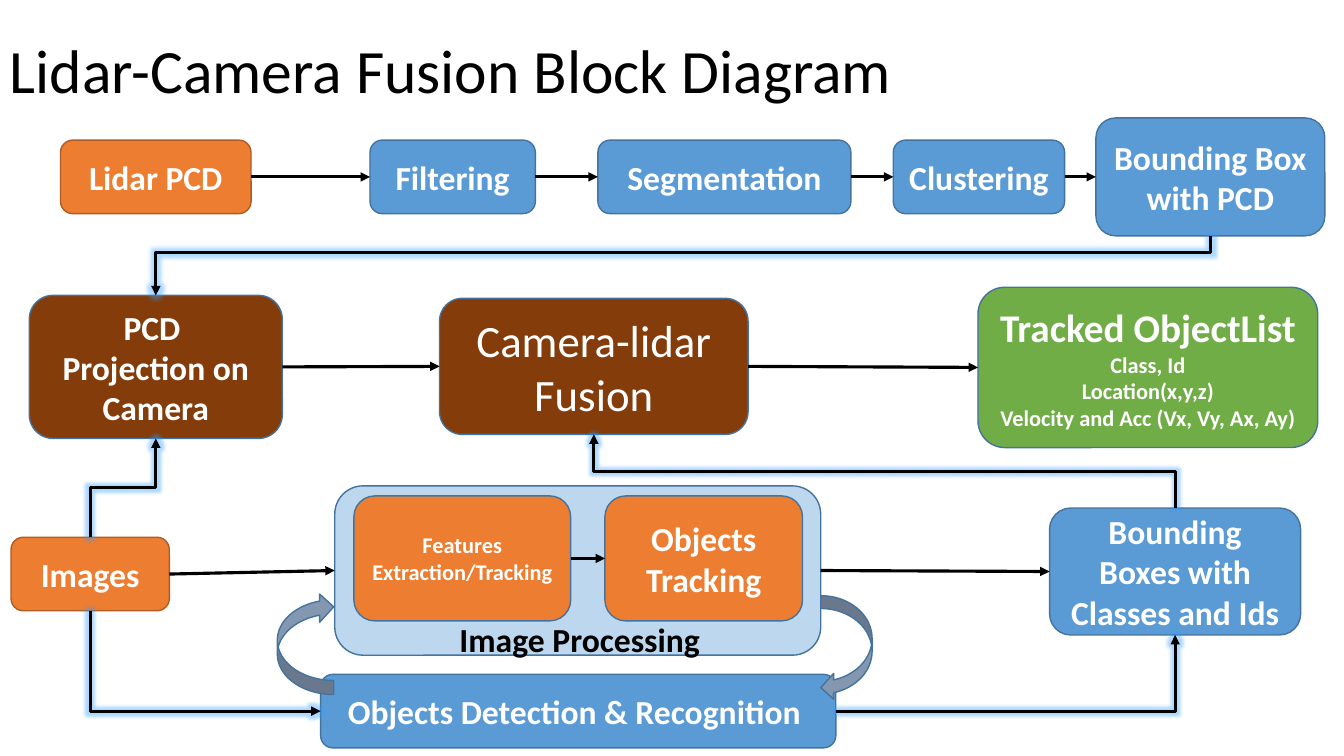
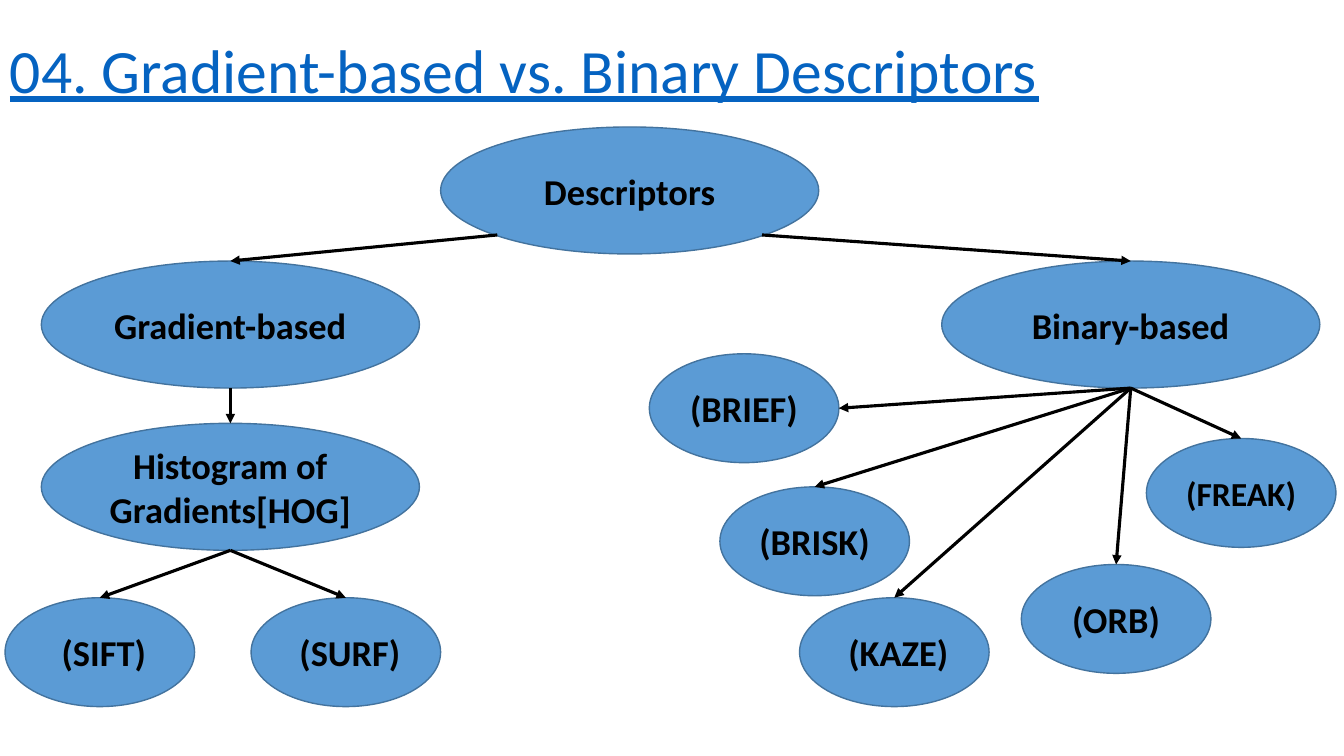
from dataclasses import dataclass, field

from lxml.etree import SubElement
from pptx import Presentation
from pptx.dml.color import RGBColor
from pptx.enum.shapes import MSO_CONNECTOR, MSO_SHAPE
from pptx.enum.text import MSO_ANCHOR, PP_ALIGN
from pptx.oxml.ns import qn
from pptx.util import Pt

PIXEL = 9144
SLIDE_SIZE = (1333, 750)
TITLE_BOX = (0, 0, 1150, 145)


@dataclass(frozen=True)
class Theme:
    font: str = "Calibri"
    ink: str = "000000"
    link: str = "0563C1"
    arrow_width: float = 2.25
    outline_width: float = 1
    glow: str = "5B9BD5"
    types: dict = field(default_factory=lambda: {
        "title": {"size": Pt(44), "bold": False},
        "link title": {"size": Pt(44), "bold": False, "underline": True},
        "display": {"size": Pt(32), "bold": False},
        "heading": {"size": Pt(28), "bold": True},
        "node": {"size": Pt(26), "bold": True},
        "label": {"size": Pt(24), "bold": True},
        "detail": {"size": Pt(16), "bold": True},
    })
    styles: dict = field(default_factory=lambda: {
        "input": ("ED7D31", "AF5C24", "FFFFFF"),
        "feature": ("ED7D31", "43739E", "FFFFFF"),
        "step": ("5B9BD5", "43739E", "FFFFFF"),
        "fusion": ("843C0B", "43739E", "FFFFFF"),
        "output": ("70AD47", "43739E", "FFFFFF"),
        "panel": ("BDD7EE", "43739E", "000000"),
        "loop": ("8497B0", "43739E", "FFFFFF"),
        "descriptor": ("5B9BD5", "43739E", "000000"),
    })


THEME = Theme()

BLOCKS = {
    "lidar": ("input", (60, 139, 189, 73), [("Lidar PCD", "label")]),
    "filtering": ("step", (367, 139, 164, 73), [("Filtering", "label")]),
    "segmentation": ("step", (593, 139, 251, 73), [("Segmentation", "label")]),
    "clustering": ("step", (886, 139, 170, 73), [("Clustering", "label")]),
    "lidar box": ("step", (1087, 117, 227, 117), [("Bounding Box with PCD", "label")]),
    "projection": ("fusion", (29, 293, 251, 142),
                   [("PCD ", "label"), ("Projection on Camera", "label")]),
    "fusion": ("fusion", (436, 296, 306, 135),
               [("Camera-lidar", "display"), ("Fusion", "display")]),
    "tracked": ("output", (970, 285, 337, 159),
                [("Tracked ObjectList", "heading"), ("Class, Id", "detail"),
                 ("Location(x,y,z)", "detail"),
                 ("Velocity and Acc (Vx, Vy, Ax, Ay)", "detail")]),
    "processing": ("panel", (332, 482, 482, 168), []),
    "features": ("feature", (351, 492, 215, 124),
                 [("Features", "detail"), ("Extraction/Tracking", "detail")]),
    "tracking": ("feature", (600, 492, 196, 124), [("Objects Tracking", "label")]),
    "image boxes": ("step", (1041, 504, 249, 126),
                    [("Bounding Boxes with Classes and Ids", "label")]),
    "images": ("input", (11, 533, 157, 73), [("Images", "label")]),
    "detection": ("step", (318, 669, 511, 73),
                  [("Objects Detection & Recognition ", "label")]),
}
PANEL_CAPTION = ("Image Processing", (401, 609, 348, 50))
BLOCK_ARROWS = [
    ("lidar", "filtering"), ("filtering", "segmentation"),
    ("segmentation", "clustering"), ("clustering", "lidar box"),
    ("projection", "fusion"), ("fusion", "tracked"),
    ("images", "processing"), ("processing", "image boxes"),
    ("features", "tracking"),
]
ELBOWS = [
    ("images", "top", "projection", "bottom", 1, "bentConnector3", 50000),
    ("images", "bottom", "detection", "left", 3, "bentConnector2", None),
    ("detection", "right", "image boxes", "bottom", 0, "bentConnector2", None),
    ("lidar box", "bottom", "projection", "top", 1, "bentConnector3", 27900),
    ("image boxes", "top", "fusion", "bottom", 3, "bentConnector3", 50000),
]
LOOP_ARROWS = [((814, 591, 51, 104), 0), ((275, 588, 56, 101), 180)]

WIDE, SMALL = (375, 126), (188, 108)
DESCRIPTORS = {
    "gradient": ((41, 259), WIDE, "Gradient-based", "node"),
    "binary": ((934, 259), WIDE, "Binary-based", "node"),
    "root": ((437, 126), WIDE, "Descriptors", "node"),
    "histogram": ((41, 420), WIDE, "Histogram of Gradients[HOG]", "node"),
    "sift": ((5, 593), SMALL, " (SIFT)", "node"),
    "surf": ((249, 593), SMALL, " (SURF)", "node"),
    "brief": ((644, 351), SMALL, "(BRIEF)", "node"),
    "kaze": ((793, 593), SMALL, " (KAZE)", "node"),
    "freak": ((1137, 435), SMALL, "(FREAK)", "label"),
    "orb": ((1013, 560), SMALL, "(ORB)", "node"),
    "brisk": ((714, 483), SMALL, "(BRISK)", "node"),
}
BRANCHES = [
    ("root", "bottom left", "gradient", "top"),
    ("root", "bottom right", "binary", "top"),
    ("gradient", "bottom", "histogram", "top"),
    ("histogram", "bottom", "sift", "top"),
    ("histogram", "bottom", "surf", "top"),
    ("binary", "bottom", "brief", "right"),
    ("binary", "bottom", "brisk", "top"),
    ("binary", "bottom", "orb", "top"),
    ("binary", "bottom", "kaze", "top"),
    ("binary", "bottom", "freak", "top"),
]

DIAGONAL = 0.35
SIDES = {
    "top": (0.5, 0), "left": (0, 0.5), "bottom": (0.5, 1), "right": (1, 0.5),
    "bottom left": (0.5 - DIAGONAL, 0.5 + DIAGONAL),
    "bottom right": (0.5 + DIAGONAL, 0.5 + DIAGONAL),
}
SITES = {
    MSO_SHAPE.ROUNDED_RECTANGLE: {"top": 0, "left": 1, "bottom": 2, "right": 3},
    MSO_SHAPE.OVAL: {"top": 0, "left": 2, "bottom left": 3, "bottom": 4,
                     "bottom right": 5, "right": 6},
}


def px(*lengths):
    return [round(length * PIXEL) for length in lengths]


def set_format(target, values):
    for name, value in values.items():
        setattr(target, name, value)


def write_text(shape, lines, color, align=PP_ALIGN.CENTER, spacing=1.0,
               anchor=MSO_ANCHOR.MIDDLE):
    frame = shape.text_frame
    set_format(frame, {"word_wrap": True, "vertical_anchor": anchor})
    for index, (text, type_name) in enumerate(lines):
        paragraph = frame.add_paragraph() if index else frame.paragraphs[0]
        set_format(paragraph, {"alignment": align, "line_spacing": spacing})
        run = paragraph.add_run()
        run.text = text
        set_format(run.font, {"name": THEME.font, **THEME.types[type_name]})
        run.font.color.rgb = RGBColor.from_string(color)


def add_title(slide, text, type_name, color):
    box = slide.shapes.add_textbox(*px(*TITLE_BOX))
    write_text(box, [(text, type_name)], color, PP_ALIGN.LEFT, 0.9)


def add_node(slide, kind, box, style, lines=()):
    fill, outline, text_color = THEME.styles[style]
    shape = slide.shapes.add_shape(kind, *px(*box))
    shape.shadow.inherit = False
    shape.fill.solid()
    shape.fill.fore_color.rgb = RGBColor.from_string(fill)
    shape.line.color.rgb = RGBColor.from_string(outline)
    shape.line.width = Pt(THEME.outline_width)
    write_text(shape, lines, text_color)
    return shape


def side_point(shape, side):
    across, down = SIDES[side]
    return (round(shape.left + across * shape.width),
            round(shape.top + down * shape.height))


def style_arrow(connector):
    connector.line.color.rgb = RGBColor.from_string(THEME.ink)
    connector.line.width = Pt(THEME.arrow_width)
    properties = connector._element.spPr
    SubElement(properties.find(qn("a:ln")), qn("a:tailEnd"), type="triangle")
    return SubElement(properties, qn("a:effectLst"))


def add_arrow(slide, start, start_side, end, end_side):
    begin, finish = side_point(start, start_side), side_point(end, end_side)
    connector = slide.shapes.add_connector(MSO_CONNECTOR.STRAIGHT, *begin, *finish)
    connector.begin_connect(start, 0)
    connector.end_connect(end, 0)
    links = connector._element.nvCxnSpPr.cNvCxnSpPr
    links.stCxn.idx = SITES[start.auto_shape_type][start_side]
    links.endCxn.idx = SITES[end.auto_shape_type][end_side]
    set_format(connector, {"begin_x": begin[0], "begin_y": begin[1],
                           "end_x": finish[0], "end_y": finish[1]})
    style_arrow(connector)


def add_elbow(slide, begin, finish, quarter_turns, preset, bend):
    center_x, center_y = [(a + b) / 2 for a, b in zip(begin, finish)]
    across, down = begin[0] - center_x, begin[1] - center_y
    across, down = {0: (across, down), 1: (down, -across), 3: (-down, across)}[quarter_turns]
    ends = (center_x + across, center_y + down, center_x - across, center_y - down)
    connector = slide.shapes.add_connector(MSO_CONNECTOR.ELBOW, *map(round, ends))
    properties = connector._element.spPr
    if quarter_turns:
        properties.find(qn("a:xfrm")).set("rot", str(quarter_turns * 5400000))
    geometry = properties.find(qn("a:prstGeom"))
    geometry.set("prst", preset)
    if bend is not None:
        guides = geometry.find(qn("a:avLst"))
        if guides is None:
            guides = SubElement(geometry, qn("a:avLst"))
        SubElement(guides, qn("a:gd"), name="adj1", fmla=f"val {bend}")
    glow = SubElement(style_arrow(connector), qn("a:glow"), rad="63500")
    color = SubElement(glow, qn("a:srgbClr"), val=THEME.glow)
    SubElement(color, qn("a:satMod"), val="175000")
    SubElement(color, qn("a:alpha"), val="40000")


def build_block_diagram(slide):
    add_title(slide, "Lidar-Camera Fusion Block Diagram", "title", THEME.ink)
    nodes = {name: add_node(slide, MSO_SHAPE.ROUNDED_RECTANGLE, box, style, lines)
             for name, (style, box, lines) in BLOCKS.items()}
    caption, box = PANEL_CAPTION
    write_text(slide.shapes.add_textbox(*px(*box)), [(caption, "label")], THEME.ink,
               anchor=MSO_ANCHOR.TOP)
    for start, end in BLOCK_ARROWS:
        add_arrow(slide, nodes[start], "right", nodes[end], "left")
    for start, start_side, end, end_side, turns, preset, bend in ELBOWS:
        add_elbow(slide, side_point(nodes[start], start_side),
                  side_point(nodes[end], end_side), turns, preset, bend)
    for box, rotation in LOOP_ARROWS:
        add_node(slide, MSO_SHAPE.CURVED_LEFT_ARROW, box, "loop").rotation = rotation


def build_descriptor_tree(slide):
    add_title(slide, "04. Gradient-based vs. Binary Descriptors", "link title", THEME.link)
    nodes = {name: add_node(slide, MSO_SHAPE.OVAL, corner + size, "descriptor",
                            [(text, type_name)])
             for name, (corner, size, text, type_name) in DESCRIPTORS.items()}
    for start, start_side, end, end_side in BRANCHES:
        add_arrow(slide, nodes[start], start_side, nodes[end], end_side)


def main():
    presentation = Presentation()
    presentation.slide_width, presentation.slide_height = px(*SLIDE_SIZE)
    for build in (build_block_diagram, build_descriptor_tree):
        build(presentation.slides.add_slide(presentation.slide_layouts[6]))
    presentation.save("out.pptx")


if __name__ == "__main__":
    main()
